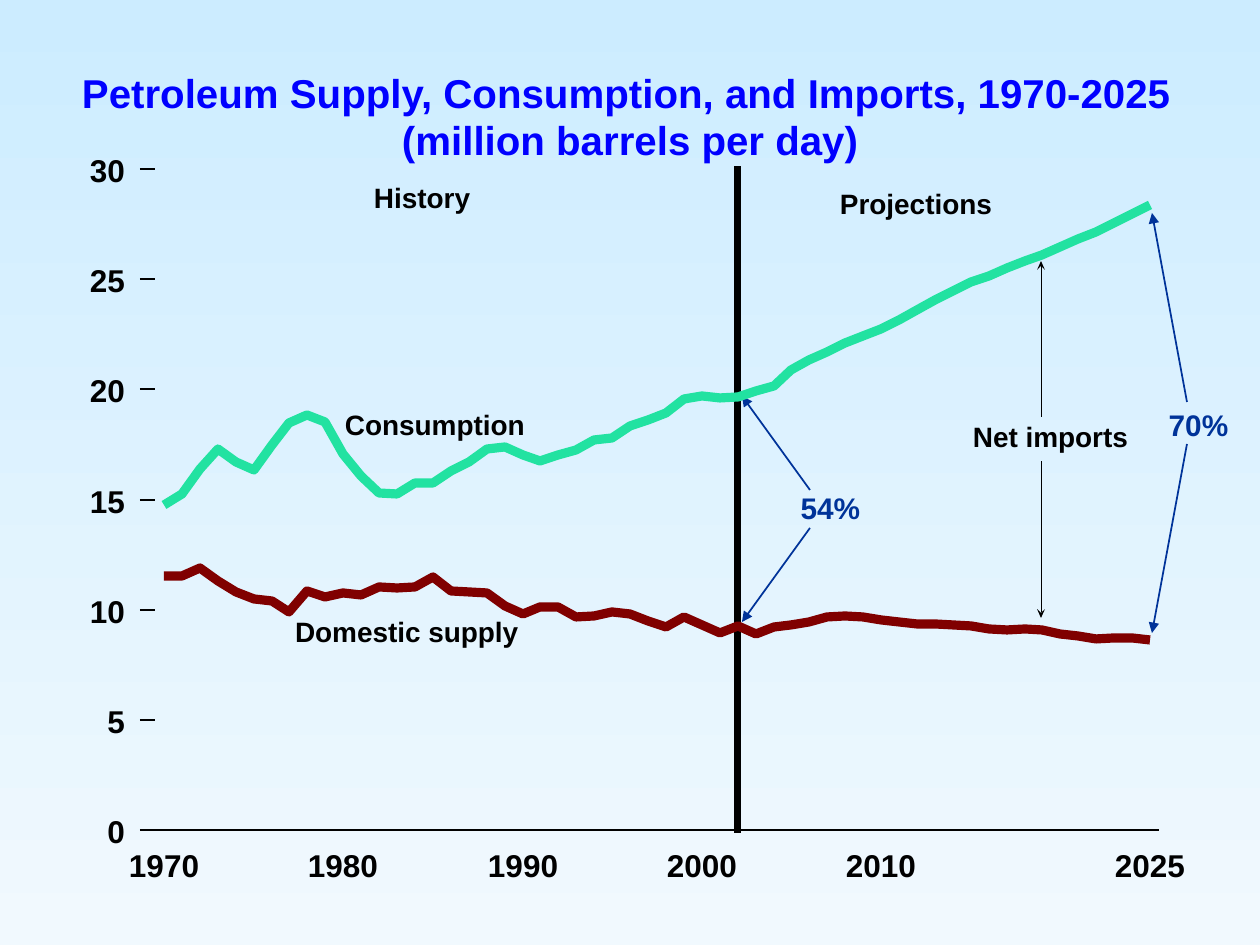
from typing import NamedTuple

from lxml.etree import SubElement
from pptx import Presentation
from pptx.dml.color import RGBColor
from pptx.enum.shapes import MSO_CONNECTOR, MSO_SHAPE
from pptx.enum.text import MSO_AUTO_SIZE, PP_ALIGN
from pptx.oxml.ns import qn
from pptx.util import Emu, Pt

EMU_PER_PX = 914400 / 126

BLACK = RGBColor(0x00, 0x00, 0x00)
NAVY = RGBColor(0x00, 0x33, 0x99)
BLUE = RGBColor(0x00, 0x00, 0xFF)
GREEN = RGBColor(0x22, 0xE2, 0xA1)
MAROON = RGBColor(0x80, 0x00, 0x00)
SKY = RGBColor(0xCC, 0xEC, 0xFF)
PALE = RGBColor(0xF1, 0xF9, 0xFE)

FIRST_YEAR, LAST_YEAR, SPLIT_YEAR = 1970, 2025, 2002
PLOT_LEFT, PLOT_RIGHT = 164, 1150
PLOT_TOP, PLOT_BOTTOM, MAX_VALUE = 169, 830, 30
TICK_LEFT, TICK_RIGHT, AXIS_RIGHT = 140, 155, 1159


class Label(NamedTuple):
    text: str
    x: int
    y: int
    w: int
    h: int
    size: int
    color: RGBColor = BLACK
    align: PP_ALIGN = PP_ALIGN.LEFT


class Curve(NamedTuple):
    color: RGBColor
    heights: list[int]  # one y position per year


class Line(NamedTuple):
    x1: int
    y1: int
    x2: int
    y2: int
    width: float
    color: RGBColor = BLACK
    arrow: bool = False


CURVES = [
    Curve(GREEN, [
        505, 494, 469, 449, 462, 470, 445, 423, 415, 422,
        454, 476, 493, 494, 483, 483, 471, 462, 449, 447,
        455, 461, 455, 450, 440, 438, 426, 420, 413, 399,
        396, 398, 397, 391, 386, 370, 360, 352, 343, 336,
        329, 320, 310, 300, 291, 282, 276, 268, 261, 255,
        247, 239, 232, 223, 214, 205]),
    Curve(MAROON, [
        576, 576, 568, 581, 592, 599, 601, 612, 591, 597,
        593, 595, 587, 588, 587, 577, 591, 592, 593, 606,
        614, 607, 607, 617, 616, 612, 614, 621, 627, 617,
        625, 633, 626, 634, 627, 625, 622, 617, 616, 617,
        620, 622, 624, 624, 625, 626, 629, 630, 629, 630,
        634, 636, 639, 638, 638, 640]),
]

SHARE_ARROWS = [
    Line(742, 622, 810, 528, 1, NAVY, True),
    Line(742, 396, 810, 490, 1, NAVY, True),
    Line(1152, 213, 1187, 402, 1, NAVY, True),
    Line(1152, 633, 1187, 444, 1, NAVY, True),
]

IMPORTS_X = 1041
IMPORT_LINES = [
    Line(IMPORTS_X, 417, IMPORTS_X, 266, 0.5),
    Line(IMPORTS_X, 612, IMPORTS_X, 461, 0.5),
]

LABELS = [
    Label("54%", 796, 490, 69, 35, 17, NAVY, PP_ALIGN.CENTER),
    Label("70%", 1164, 407, 69, 35, 17, NAVY, PP_ALIGN.CENTER),
    Label("Domestic supply", 295, 615, 232, 34, 16),
    Label("Consumption", 345, 408, 188, 34, 16),
    Label("History", 374, 181, 104, 34, 16),
    Label("Projections", 840, 187, 160, 34, 16),
    Label("Net imports", 973, 420, 163, 34, 16),
    Label("Petroleum Supply, Consumption, and Imports, 1970-2025",
          82, 68, 1096, 48, 23, BLUE),
    Label("(million barrels per day)", 402, 115, 465, 48, 23, BLUE),
]


def px(n: float) -> Emu:
    return Emu(round(n * EMU_PER_PX))


def year_x(year: int) -> int:
    share = (year - FIRST_YEAR) / (LAST_YEAR - FIRST_YEAR)
    return round(PLOT_LEFT + share * (PLOT_RIGHT - PLOT_LEFT))


def value_y(value: int) -> int:
    return round(PLOT_BOTTOM - value / MAX_VALUE * (PLOT_BOTTOM - PLOT_TOP))


def add_label(s, label: Label) -> None:
    sp = s.shapes.add_textbox(px(label.x), px(label.y), px(label.w), px(label.h))
    tf = sp.text_frame
    frame = dict(margin_left=0, margin_top=0, margin_right=0, margin_bottom=0,
                 word_wrap=False, auto_size=MSO_AUTO_SIZE.SHAPE_TO_FIT_TEXT)
    for name, value in frame.items():
        setattr(tf, name, value)
    p = tf.paragraphs[0]
    p.alignment = label.align
    r = p.add_run()
    r.text = label.text
    for name, value in dict(name="Arial", size=Pt(label.size), bold=True).items():
        setattr(r.font, name, value)
    r.font.color.rgb = label.color


def add_line(s, line: Line) -> None:
    sp = s.shapes.add_connector(MSO_CONNECTOR.STRAIGHT, px(line.x1), px(line.y1),
                                px(line.x2), px(line.y2))
    sp.line.width = Pt(line.width)
    sp.line.color.rgb = line.color
    if line.arrow:
        SubElement(sp.line._get_or_add_ln(), qn("a:headEnd"), type="triangle")
    SubElement(sp._element.spPr, qn("a:effectLst"))


def add_outline(s, points: list[tuple[int, int]], closed: bool):
    (x, y), *rest = [(px(x), px(y)) for x, y in points]
    builder = s.shapes.build_freeform(x, y)
    builder.add_line_segments(rest, close=closed)
    sp = builder.convert_to_shape()
    sp.shadow.inherit = False
    return sp


def add_curve(s, curve: Curve) -> None:
    points = [(year_x(FIRST_YEAR + i), y) for i, y in enumerate(curve.heights)]
    sp = add_outline(s, points, closed=False)
    sp.fill.background()
    sp.line.color.rgb = curve.color
    sp.line.width = Pt(5.25)


def add_barb(s, x: int, tip: int, step: int) -> None:
    """Draw a notched arrowhead; step is 1 when it points up, -1 when down."""
    base, notch = tip + 9 * step, tip + 5 * step
    sp = add_outline(s, [(x - 4, base), (x, tip), (x + 4, base), (x, notch)], closed=True)
    sp.fill.solid()
    sp.fill.fore_color.rgb = BLACK
    sp.line.fill.background()


def add_divider(s) -> None:
    sp = s.shapes.add_shape(MSO_SHAPE.RECTANGLE, px(year_x(SPLIT_YEAR) - 1), px(PLOT_TOP),
                            px(1), px(PLOT_BOTTOM - PLOT_TOP))
    sp.shadow.inherit = False
    sp.fill.solid()
    sp.fill.fore_color.rgb = BLACK
    sp.line.color.rgb = BLACK
    sp.line.width = Pt(3.37)
    SubElement(sp.line._get_or_add_ln(), qn("a:miter"), lim="800000")


def add_axes(s) -> None:
    for value in range(0, MAX_VALUE + 1, 5):
        y = value_y(value)
        add_line(s, Line(TICK_LEFT, y, TICK_RIGHT, y, 0.88))
        w = 20 * len(str(value))
        add_label(s, Label(str(value), 125 - w, y - 18, w, 38, 18, align=PP_ALIGN.RIGHT))
    add_line(s, Line(TICK_RIGHT, PLOT_BOTTOM, AXIS_RIGHT, PLOT_BOTTOM, 0.88))
    for year in (1970, 1980, 1990, 2000, 2010, 2025):
        add_label(s, Label(str(year), year_x(year) - 40, 846, 80, 38, 18,
                           align=PP_ALIGN.CENTER))


def main() -> None:
    prs = Presentation()
    prs.slide_width, prs.slide_height = px(1260), px(945)
    s = prs.slides.add_slide(prs.slide_layouts[6])
    fill = s.background.fill
    fill.gradient()
    fill.gradient_angle = 270
    for stop, color in zip(fill.gradient_stops, (SKY, PALE)):
        stop.color.rgb = color

    for line in SHARE_ARROWS:
        add_line(s, line)
    add_divider(s)
    for curve in CURVES:
        add_curve(s, curve)
    add_axes(s)
    for label in LABELS:
        add_label(s, label)
    for line in IMPORT_LINES:
        add_line(s, line)
    add_barb(s, IMPORTS_X, 261, 1)
    add_barb(s, IMPORTS_X, 618, -1)
    prs.save("out.pptx")


if __name__ == "__main__":
    main()
